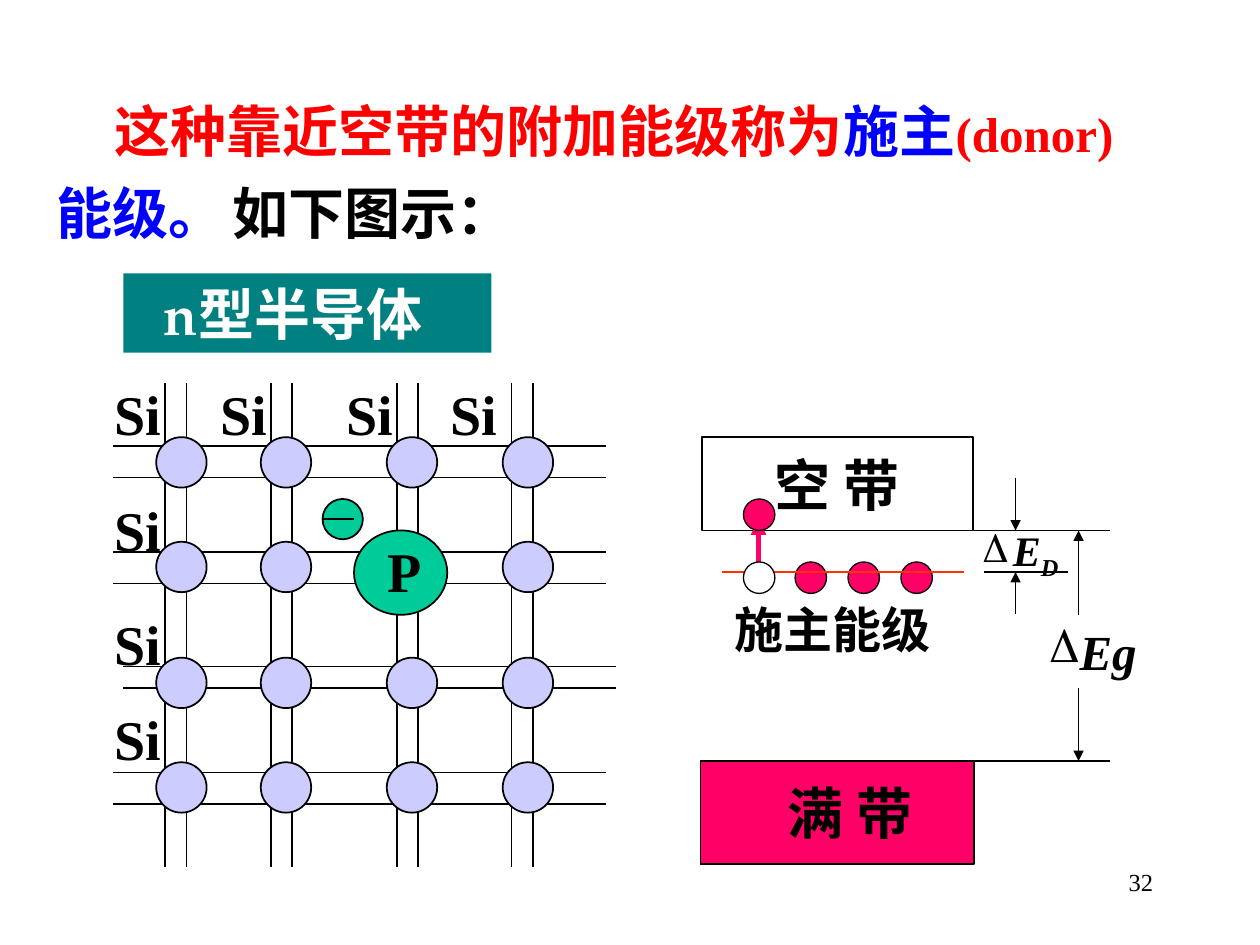
import pptx
import pptx.dml.color
import pptx.enum.shapes
import pptx.enum.text
import pptx.oxml.ns
import pptx.util
from dataclasses import dataclass
from lxml import etree

Inches = pptx.util.Inches
qn = pptx.oxml.ns.qn
SHAPE = pptx.enum.shapes.MSO_SHAPE
ALIGN = pptx.enum.text.PP_ALIGN
ANCHOR = pptx.enum.text.MSO_ANCHOR


@dataclass(frozen=True)
class Theme:
    black: str = "000000"
    white: str = "FFFFFF"
    red: str = "FF0000"
    blue: str = "0000FF"
    teal: str = "008080"
    pink: str = "FF0066"
    level: str = "FF3300"
    atom: str = "CCCCFF"
    donor: str = "00CC99"
    serif: str = "Times New Roman"
    book: str = "TeX Gyre Pagella"
    large: int = 32
    medium: int = 28
    small: int = 24
    page: int = 14
    thin: float = 0.75
    normal: float = 1
    thick: float = 3


T = Theme()

# Runs: (text, colour, size)
HEADING = [("这种靠近空带的附加能级称为", T.red, T.large),
           ("施主", T.blue, T.large), ("(donor)", T.red, T.medium)]
# Left, width, run
SECOND_LINE = [(0.35, 4.46, ("能级。", T.blue, T.large)),
               (1.75, 3.14, ("如下图示：", T.black, T.large))]
BANNER = ("n\t型半导体", T.white, T.large)
EMPTY_BAND = ("空 带", T.black, T.large)
FULL_BAND = ("满 带", T.black, T.large)
LEVEL_LABEL = ("施主能级", T.black, T.medium)
PAGE = ("32", T.black, T.page)

# Silicon lattice: bond pairs, atom centres and labels
COLUMNS, BOND_GAP = [1.31, 2.15, 3.15, 4.06], 0.17
ROWS = [(0.9, 3.54, 3.79), (0.9, 4.38, 4.63), (0.98, 5.29, 5.46), (0.9, 6.13, 6.38)]
ROW_LENGTH = 3.91
LATTICE_TOP, LATTICE_BOTTOM = 3.04, 6.88
ATOM_X, ATOM_Y, ATOM_SIZE = [1.44, 2.27, 3.27, 4.19], [3.67, 4.5, 5.42, 6.25], 0.4
DONOR_SITE = (2, 1)
SI_LABELS = ([(x, 2.96) for x in (0.81, 1.65, 2.65, 3.48)]
             + [(0.81, y) for y in (3.88, 4.79, 5.54)])

# Energy diagram
BAND_EDGE, DONOR_LEVEL, FULL_TOP = 4.21, 4.54, 6.04
ED_X, EG_X = 8.06, 8.56
RULES = [(7.73, 8.81, BAND_EDGE), (7.56, 8.81, FULL_TOP), (7.81, 8.48, DONOR_LEVEL)]
# x, start, end
ARROWS = [(EG_X, 5.46, FULL_TOP), (EG_X, 4.88, BAND_EDGE),
          (ED_X, 4.87, DONOR_LEVEL), (ED_X, 3.79, BAND_EDGE)]
ELECTRON_SIZE = 0.25
ELECTRON_X = [6.31 + 0.42 * i for i in range(3)]
HOLE_X = 5.9


def add_run(p, run, font=T.serif, bold=True, italic=False):
    text, colour, size = run
    r = p.add_run()
    r.text = text
    r.font.name, r.font.size = font, pptx.util.Pt(size)
    r.font.bold, r.font.italic = bold, italic
    r.font.color.rgb = pptx.dml.color.RGBColor.from_string(colour)
    return r


def add_text(s, x, y, w, h, run, anchor=ANCHOR.TOP, align=ALIGN.LEFT, **style):
    sp = s.shapes.add_textbox(*map(Inches, (x, y, w, h)))
    tf = sp.text_frame
    tf.word_wrap = True
    tf.vertical_anchor = anchor
    p = tf.paragraphs[0]
    p.alignment = align
    add_run(p, run, **style)
    return sp


def add_gap_label(s, x, y, w, h, name, size):
    """Italic energy symbol with a delta as its bullet."""
    p = add_text(s, x, y, w, h, (name, T.black, size), italic=True).text_frame.paragraphs[0]
    pPr = p._p.get_or_add_pPr()
    hang = Inches(0.24)
    pPr.set("marL", str(hang))
    pPr.set("indent", str(-hang))
    etree.SubElement(etree.SubElement(pPr, qn("a:buClr")), qn("a:srgbClr"), val=T.black)
    etree.SubElement(pPr, qn("a:buChar"), char="Δ")
    return p


def add_shape(s, kind, x, y, w, h, fill, width=None):
    sp = s.shapes.add_shape(kind, *map(Inches, (x, y, w, h)))
    sp.shadow.inherit = False
    sp.fill.solid()
    sp.fill.fore_color.rgb = pptx.dml.color.RGBColor.from_string(fill)
    if width is None:
        sp.line.fill.background()
    else:
        sp.line.color.rgb = pptx.dml.color.RGBColor.from_string(T.black)
        sp.line.width = pptx.util.Pt(width)
    return sp


def add_line(s, x1, y1, x2, y2, colour=T.black, width=T.normal, arrow=False):
    c = s.shapes.add_connector(pptx.enum.shapes.MSO_CONNECTOR.STRAIGHT,
                               *map(Inches, (x1, y1, x2, y2)))
    c.line.color.rgb = pptx.dml.color.RGBColor.from_string(colour)
    c.line.width = pptx.util.Pt(width)
    spPr = c.element.spPr
    if arrow:
        etree.SubElement(spPr.find(qn("a:ln")), qn("a:tailEnd"), type="triangle")
    etree.SubElement(spPr, qn("a:effectLst"))


def add_heading(s):
    sp = s.shapes.title
    sp.left, sp.top, sp.width, sp.height = map(Inches, (0.41, 0.71, 9.59, 0.64))
    tf = sp.text_frame
    tf.auto_size = pptx.enum.text.MSO_AUTO_SIZE.NONE
    tf.vertical_anchor = ANCHOR.MIDDLE
    p = tf.paragraphs[0]
    p.alignment = ALIGN.LEFT
    p._p.get_or_add_pPr().set("indent", str(Inches(0.4)))
    for run in HEADING:
        add_run(p, run)
    for x, w, run in SECOND_LINE:
        box = add_text(s, x, 1.26, w, 0.74, run, ANCHOR.MIDDLE)
        box.text_frame.paragraphs[0].line_spacing = 1.2


def add_banner(s):
    add_shape(s, SHAPE.RECTANGLE, 0.98, 2.17, 2.92, 0.63, T.teal)
    p = add_text(s, 0.98, 2.17, 2.92, 0.63, BANNER, font=T.book).text_frame.paragraphs[0]
    pPr = p._p.get_or_add_pPr()
    pPr.set("indent", str(Inches(0.22)))
    tabs = etree.SubElement(pPr, qn("a:tabLst"))
    etree.SubElement(tabs, qn("a:tab"), pos=str(Inches(0.81)), algn="l")


def add_lattice(s):
    for x, *pair in ROWS:
        for y in pair:
            add_line(s, x, y, x + ROW_LENGTH, y)
    for column in COLUMNS:
        for x in (column, column + BOND_GAP):
            add_line(s, x, LATTICE_TOP, x, LATTICE_BOTTOM)
    for x, y in SI_LABELS:
        add_text(s, x, y, 0.67, 0.63, ("Si", T.black, T.large))
    for j, y in enumerate(ATOM_Y):
        for i, x in enumerate(ATOM_X):
            if (i, j) != DONOR_SITE:
                add_shape(s, SHAPE.OVAL, x - ATOM_SIZE / 2, y - ATOM_SIZE / 2,
                          ATOM_SIZE, ATOM_SIZE, T.atom, T.normal)
    add_shape(s, SHAPE.OVAL, 2.56, 3.96, 0.32, 0.32, T.donor, T.normal)
    add_line(s, 2.56, 4.12, 2.81, 4.12)
    add_shape(s, SHAPE.OVAL, 2.81, 4.21, 0.74, 0.67, T.donor, T.normal)
    add_text(s, 2.98, 4.21, 0.5, 0.63, ("P", T.black, T.large))


def add_electron(s, x, y, fill=T.pink):
    add_shape(s, SHAPE.OVAL, x, y, ELECTRON_SIZE, ELECTRON_SIZE, fill, T.thin)


def add_energy_diagram(s):
    add_shape(s, SHAPE.RECTANGLE, 5.57, 3.47, 2.15, 0.74, T.white, T.normal)
    add_text(s, 5.57, 3.47, 2.15, 0.74, EMPTY_BAND, ANCHOR.MIDDLE, ALIGN.CENTER, font=T.book)
    add_shape(s, SHAPE.RECTANGLE, 5.56, FULL_TOP, 2.17, 0.82, T.pink, T.normal)
    add_text(s, 6.15, 6.13, 1.25, 0.63, FULL_BAND, font=T.book)
    add_text(s, 5.73, 4.71, 2.33, 0.57, LEVEL_LABEL, font=T.book)
    p = add_gap_label(s, 7.7, 4.11, 1.42, 0.56, "E", T.small)
    r = add_run(p, ("D", T.black, T.small), italic=True)
    r._r.get_or_add_rPr().set("baseline", "-25000")
    add_gap_label(s, 8.23, 4.88, 1.08, 0.57, "Eg", T.medium)
    for x1, x2, y in RULES:
        add_line(s, x1, y, x2, y)
    for x, y1, y2 in ARROWS:
        add_line(s, x, y1, x, y2, width=T.thin, arrow=True)
    for x in ELECTRON_X:
        add_electron(s, x, 4.46)
    add_line(s, 5.73, DONOR_LEVEL, 7.65, DONOR_LEVEL, T.level)
    add_line(s, 6.02, 4.46, 6.02, 4.12, T.pink, T.thick, arrow=True)
    add_electron(s, HOLE_X, 3.96)
    add_electron(s, HOLE_X, 4.46, T.white)


def main():
    prs = pptx.Presentation()
    prs.slide_width, prs.slide_height = Inches(10), Inches(7.5)
    s = prs.slides.add_slide(prs.slide_layouts.get_by_name("Title Only"))
    add_heading(s)
    add_banner(s)
    add_lattice(s)
    add_energy_diagram(s)
    add_text(s, 7.17, 6.83, 2.08, 0.5, PAGE, align=ALIGN.RIGHT, bold=False)
    prs.save("out.pptx")


if __name__ == "__main__":
    main()
